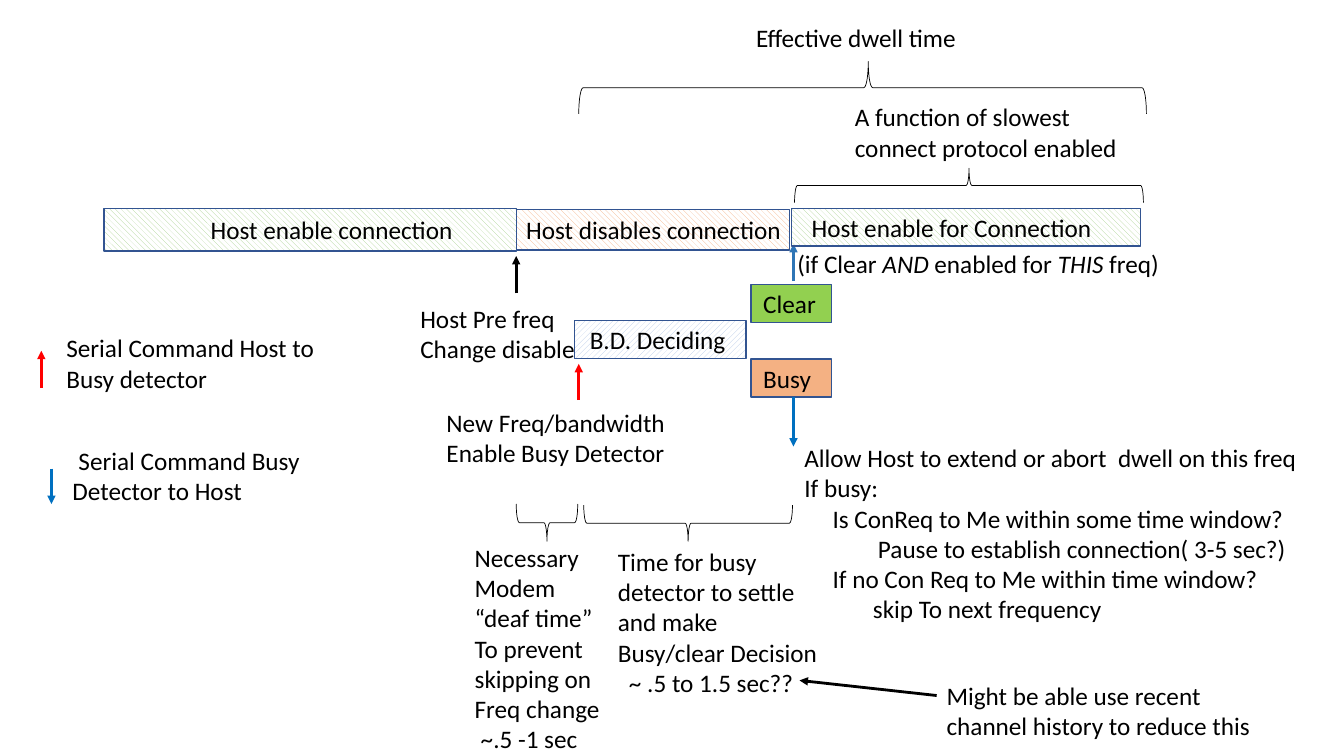
from dataclasses import dataclass
from typing import Any

from lxml.etree import SubElement
from pptx import Presentation
from pptx.dml.color import RGBColor
from pptx.enum.dml import MSO_PATTERN as Pattern
from pptx.enum.shapes import MSO_CONNECTOR as Connector, MSO_SHAPE as Shape
from pptx.enum.text import MSO_ANCHOR as Anchor, PP_ALIGN as Align
from pptx.oxml.ns import qn
from pptx.util import Inches, Pt

BLACK, WHITE, RED, BLUE = "000000", "FFFFFF", "FF0000", "0070C0"
OUTLINE, GREEN, ORANGE, PALE_BLUE = "325491", "A9D18E", "F4B183", "B4C7E7"


def color(hex_code):
    return RGBColor.from_string(hex_code)


def write(frame, lines):
    frame.word_wrap = True
    for number, line in enumerate(lines):
        indent, hanging, words = (0, 0, line) if isinstance(line, str) else line
        paragraph = frame.paragraphs[0] if number == 0 else frame.add_paragraph()
        paragraph.alignment = Align.LEFT
        paragraph.font.name, paragraph.font.size = "Calibri", Pt(18)
        paragraph.font.color.rgb = color(BLACK)
        properties = paragraph._p.get_or_add_pPr()
        properties.set("marL", str(Inches(indent)))
        properties.set("indent", str(Inches(hanging)))
        for part, piece in enumerate(words.split("*")):
            run = paragraph.add_run()
            run.text = piece
            if part % 2:
                run.font.italic = True


@dataclass
class Region:
    slide: Any
    left: float
    top: float

    def place(self, x, y):
        return Inches(self.left + x), Inches(self.top + y)

    def note(self, x, y, width, height, *lines):
        box = self.slide.shapes.add_textbox(*self.place(x, y), Inches(width), Inches(height))
        write(box.text_frame, lines)

    def block(self, x, y, width, height, words, inset, fill, pattern=None):
        block = self.slide.shapes.add_shape(
            Shape.RECTANGLE, *self.place(x, y), Inches(width), Inches(height))
        block.shadow.inherit = False
        if pattern is None:
            block.fill.solid()
            block.fill.fore_color.rgb = color(fill)
        else:
            block.fill.patterned()
            block.fill.pattern = pattern
            block.fill.fore_color.rgb = color(fill)
            block.fill.back_color.rgb = color(WHITE)
        block.line.color.rgb = color(OUTLINE)
        block.line.width = Pt(1)
        frame = block.text_frame
        frame.vertical_anchor = Anchor.MIDDLE
        frame.margin_left = Inches(inset)
        frame.margin_right = frame.margin_top = frame.margin_bottom = 0
        write(frame, [words])

    def brace(self, x, y, width, height, rotation, point=0.5):
        corner = self.place(x + (width - height) / 2, y + (height - width) / 2)
        brace = self.slide.shapes.add_shape(
            Shape.LEFT_BRACE, *corner, Inches(height), Inches(width))
        brace.rotation = rotation
        brace.adjustments[1] = point
        brace.shadow.inherit = False
        brace.fill.background()
        brace.line.color.rgb = color(BLACK)
        brace.line.width = Pt(0.5)

    def arrow(self, x, y, dx, dy, hex_code):
        arrow = self.slide.shapes.add_connector(
            Connector.STRAIGHT, *self.place(x, y), *self.place(x + dx, y + dy))
        arrow.line.color.rgb = color(hex_code)
        arrow.line.width = Pt(2)
        SubElement(arrow.line._get_or_add_ln(), qn("a:tailEnd"), type="triangle")
        SubElement(arrow._element.spPr, qn("a:effectLst"))


def add_dwell_braces(region):
    region.note(1.66, 0, 2.81, 0.4, "Effective dwell time")
    region.brace(0, 0.44, 5.63, 0.52, 90, 0.49)
    region.note(2.64, 0.79, 3.06, 0.71, "A function of slowest", "connect protocol enabled")
    region.brace(2.14, 1.5, 3.46, 0.34, 90)


def add_timeline(region):
    stripes = Pattern.WIDE_DOWNWARD_DIAGONAL
    region.block(0, 0, 4.09, 0.42, "Host enable connection", 1.06, GREEN, stripes)
    region.block(4.09, 0.01, 2.71, 0.4, "Host disables connection", 0.1, ORANGE, stripes)
    region.note(6.78, 0.34, 3.97, 0.4, "(if Clear *AND* enabled for *THIS *freq)")
    region.arrow(6.84, 0.72, 0, -0.37, "2E75B6")
    region.block(6.82, 0, 3.46, 0.37, "Host enable for Connection", 0.2, GREEN, stripes)
    region.arrow(4.09, 0.84, 0, -0.37, BLACK)
    region.note(3.04, 0.89, 1.88, 0.71, "Host Pre freq", "Change disable")


def add_detector(region):
    region.block(0, 0.36, 1.7, 0.38, "B.D. Deciding", 0.15, PALE_BLUE,
                 Pattern.WIDE_UPWARD_DIAGONAL)
    region.block(1.75, 0, 0.8, 0.38, "Clear", 0.12, "92D050")
    region.block(1.75, 0.74, 0.8, 0.38, "Busy", 0.12, ORANGE)
    region.arrow(2.17, 1.12, 0, 0.49, BLUE)
    region.arrow(0.04, 1.15, 0, -0.36, RED)
    region.note(-1.37, 1.17, 3.1, 0.71, "New Freq/bandwidth", "Enable Busy Detector")


def add_busy_rules(region):
    region.note(0, 0, 5.26, 1.92,
                "Allow Host to extend or abort  dwell on this freq",
                "If busy:",
                (0.28, 0, "Is ConReq to Me within some time window?"),
                (0.73, 0, "Pause to establish connection( 3-5 sec?)"),
                (0.28, 0, "If no Con Req to Me within time window?"),
                (0.68, 0, "skip To next frequency"))


def add_delays(region):
    region.brace(0.51, 0, 0.61, 0.37, 270)
    region.note(0, 0.33, 1.63, 2.22, "Necessary", "Modem", "“deaf time”", "To prevent",
                "skipping on", "Freq change", (0.06, 0, "~.5 -1 sec"))
    region.brace(1.18, 0.01, 2.07, 0.36, 270)
    region.note(1.42, 0.37, 2.22, 1.62,
                "Time for busy detector to settle and make Busy/clear Decision",
                (0.11, 0, "~ .5 to 1.5 sec??"))
    region.arrow(4.68, 1.9, -1.36, -0.15, BLACK)
    region.note(4.68, 1.7, 3.43, 0.71,
                "Might be able use recent channel history to reduce this")


def add_legend(region):
    region.arrow(0, 0.6, 0, -0.37, RED)
    region.note(0.1, 0, 2.81, 0.71, (0.05, 0, "Serial Command Host to Busy detector"))
    region.arrow(0.1, 1.4, 0, 0.35, BLUE)
    region.note(0.21, 1.12, 2.81, 0.71, (0, 0.06, "Serial Command Busy Detector to Host"))


deck = Presentation()
deck.slide_width, deck.slide_height = Inches(13.33), Inches(7.5)
dwell_slide = deck.slides.add_slide(deck.slide_layouts[6])
add_dwell_braces(Region(dwell_slide, 5.74, 0.17))
add_timeline(Region(dwell_slide, 1.03, 2.07))
add_detector(Region(dwell_slide, 5.7, 2.82))
add_busy_rules(Region(dwell_slide, 7.88, 4.34))
add_delays(Region(dwell_slide, 4.61, 5))
add_legend(Region(dwell_slide, 0.41, 3.25))
deck.save("out.pptx")
